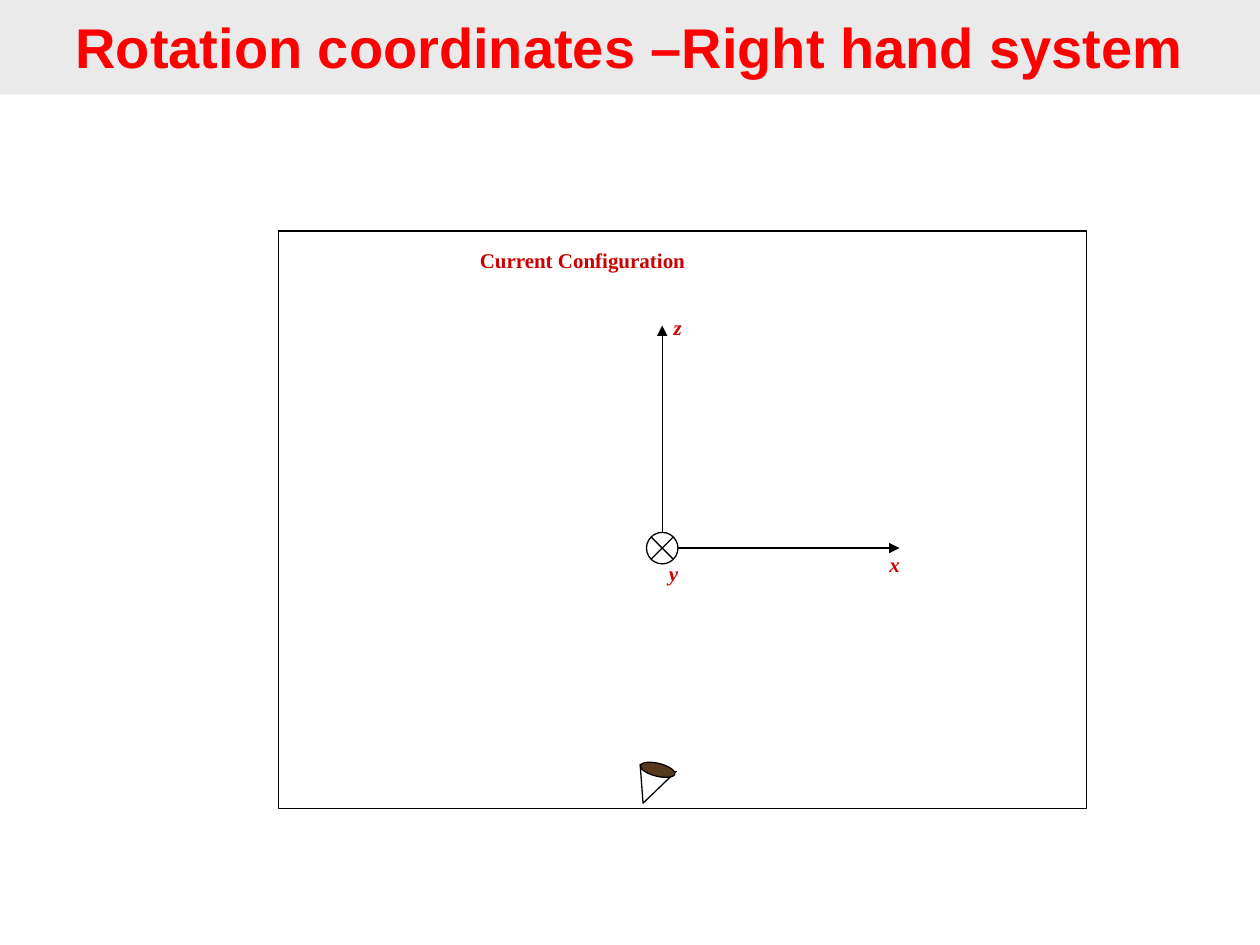
"""Build the slide on rotation coordinates in a right-hand system."""
from dataclasses import dataclass

from lxml.etree import SubElement
from pptx import Presentation
from pptx.dml.color import RGBColor
from pptx.enum.shapes import MSO_CONNECTOR, MSO_SHAPE
from pptx.enum.text import MSO_ANCHOR, MSO_AUTO_SIZE, PP_ALIGN
from pptx.oxml.ns import qn
from pptx.util import Pt

BLACK, WHITE, BAND, BROWN = "000000", "FFFFFF", "EAEAEA", "573A1D"
TITLE_RED, LABEL_RED = "FF0000", "CC0000"
Point = tuple[float, float]


@dataclass(frozen=True)
class Label:
    text: str
    left: float
    top: float
    width: float = 23.8
    italic: bool = True


def color(value: str) -> RGBColor:
    return RGBColor.from_string(value)


def write(frame, text: str, *, font="Times New Roman", size=12, fill=LABEL_RED,
          italic=False, align=PP_ALIGN.LEFT) -> None:
    frame.word_wrap = True
    paragraph = frame.paragraphs[0]
    paragraph.alignment = align
    run = paragraph.add_run()
    run.text = text
    run.font.name, run.font.size = font, Pt(size)
    run.font.bold, run.font.italic = True, italic
    run.font.color.rgb = color(fill)


def outline(shape, fill: str | None = None):
    shape.shadow.inherit = False
    shape.line.color.rgb = color(BLACK)
    shape.line.width = Pt(0.75)
    if fill:
        shape.fill.solid()
        shape.fill.fore_color.rgb = color(fill)
    else:
        shape.fill.background()
    return shape


def add_outlined(shapes, kind, box: tuple[float, float, float, float],
                 fill: str | None = None, rotation: float = 0) -> None:
    shape = outline(shapes.add_shape(kind, *map(Pt, box)), fill)
    shape.rotation = rotation


def add_path(shapes, points: list[Point], fill: str | None = None,
             arrows: bool = False) -> None:
    start, *rest = [(Pt(x), Pt(y)) for x, y in points]
    builder = shapes.build_freeform(*start)
    builder.add_line_segments(rest, close=False)
    path = outline(builder.convert_to_shape(), fill)
    if arrows:
        for end in ("a:headEnd", "a:tailEnd"):
            SubElement(path.line._get_or_add_ln(), qn(end), type="triangle")


def add_line(shapes, start: Point, end: Point) -> None:
    line = shapes.add_connector(MSO_CONNECTOR.STRAIGHT, *map(Pt, start + end))
    line.line.color.rgb = color(BLACK)
    line.line.width = Pt(0.75)
    SubElement(line._element.spPr, qn("a:effectLst"))


def add_label(shapes, label: Label) -> None:
    box = shapes.add_textbox(Pt(label.left), Pt(label.top), Pt(label.width), Pt(21.6))
    write(box.text_frame, label.text, italic=label.italic)
    box.text_frame.auto_size = MSO_AUTO_SIZE.SHAPE_TO_FIT_TEXT


def add_title(slide, text: str) -> None:
    title = slide.shapes.title
    title.left, title.top, title.width, title.height = map(Pt, (0, 0, 720, 54))
    title.fill.solid()
    title.fill.fore_color.rgb = color(BAND)
    frame = title.text_frame
    frame.auto_size = MSO_AUTO_SIZE.NONE
    frame.vertical_anchor = MSO_ANCHOR.TOP
    frame.margin_top = Pt(7)
    write(frame, text, font="Arial", size=32, fill=TITLE_RED, align=PP_ALIGN.CENTER)


def add_axes(shapes, origin: Point, radius: float, cross: float) -> None:
    x, y = origin
    add_path(shapes, [(x, 186), origin, (514, y)], arrows=True)
    add_outlined(shapes, MSO_SHAPE.OVAL,
                 (x - radius, y - radius, 2 * radius, 2 * radius), WHITE)
    for rise in (cross, -cross):
        add_line(shapes, (x - cross, y - rise), (x + cross, y + rise))
    for label in (Label("z", 377.8, 176.4), Label("x", 501.1, 311.8),
                  Label("y", 375.1, 316.8)):
        add_label(shapes, label)


def add_eye(shapes) -> None:
    add_path(shapes, [(386.6, 440.6), (367.5, 459), (365.8, 436.5)], WHITE)
    add_outlined(shapes, MSO_SHAPE.OVAL, (372.1, 429.8, 7.4, 20.2), BROWN, 103.9)


def main() -> None:
    presentation = Presentation()
    presentation.slide_width, presentation.slide_height = Pt(720), Pt(540)
    slide = presentation.slides.add_slide(presentation.slide_layouts[5])
    add_title(slide, "Rotation coordinates –Right hand system")
    add_axes(slide.shapes.add_group_shape().shapes, (378.4, 313.2), 9, 6.4)
    add_eye(slide.shapes.add_group_shape().shapes)
    add_label(slide.shapes, Label("Current Configuration", 267.1, 138.2, 210, False))
    add_outlined(slide.shapes, MSO_SHAPE.RECTANGLE, (159.1, 132, 462, 330))
    presentation.save("out.pptx")


if __name__ == "__main__":
    main()
